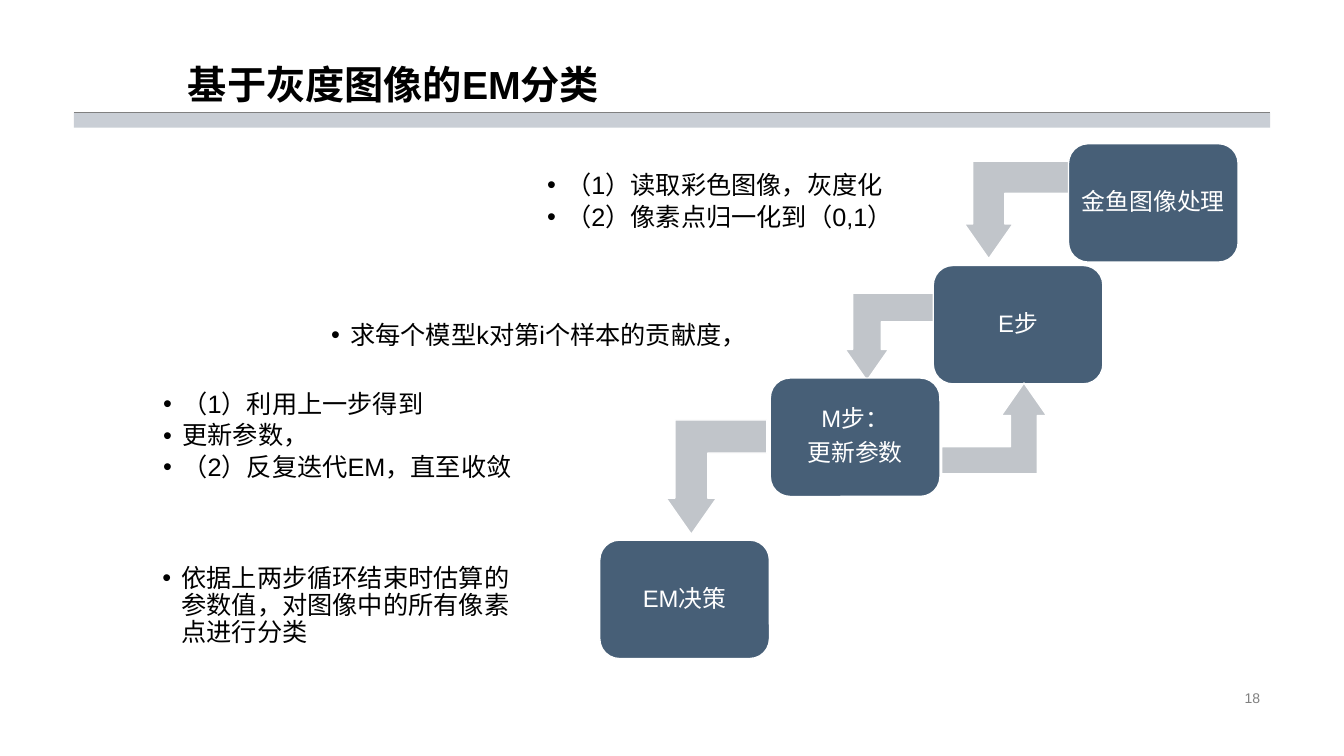
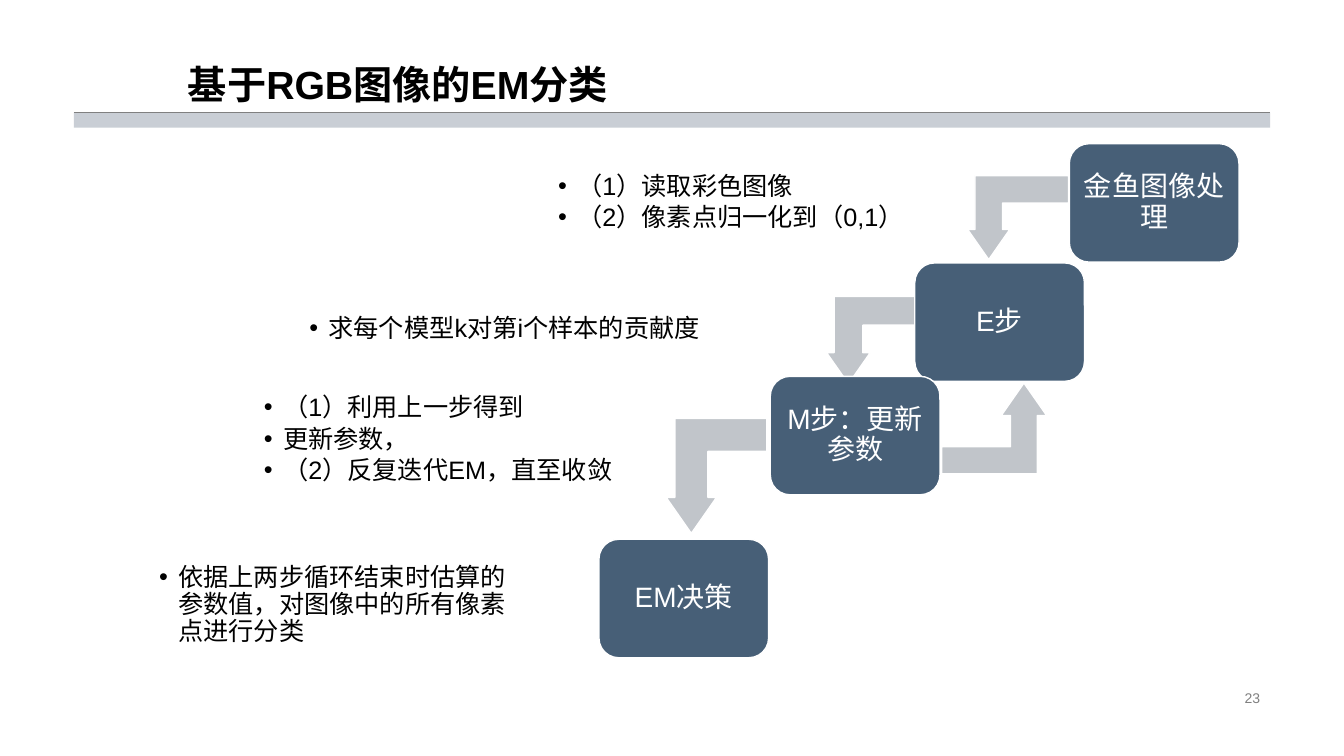
from dataclasses import dataclass

from lxml.etree import SubElement
from pptx import Presentation
from pptx.dml.color import RGBColor
from pptx.enum.shapes import MSO_CONNECTOR, MSO_SHAPE
from pptx.enum.text import MSO_ANCHOR, PP_ALIGN
from pptx.oxml.ns import qn
from pptx.util import Inches, Pt


@dataclass(frozen=True)
class Theme:
    face: str = "Arial"
    ink: str = "000000"
    paper: str = "FFFFFF"
    band: str = "C9CED5"
    rule: str = "808080"
    arrow: str = "C1C5CA"
    step: str = "475F77"
    title: int = 28
    note: int = 18
    page: int = 10


theme = Theme()
deck = Presentation()
deck.slide_width, deck.slide_height = Inches(13.33), Inches(7.5)

# Grid of 80 columns by 45 rows
COL, ROW = deck.slide_width / 80, deck.slide_height / 45
LEFT, TOP, WIDE = 4.4, 6.7, 71.2
STEP = (10.1, 7.05)
BEND = (0.328, 0.25, 0.358)
BACK = (0.297, 0.25, 0.358)


def grid(x, y, w, h):
    return [int(v) for v in (x * COL, y * ROW, w * COL, h * ROW)]


def write(shape, lines, size, ink, align=PP_ALIGN.LEFT, anchor=MSO_ANCHOR.MIDDLE,
          pad=None, after=0, bold=False, bullet=False):
    frame = shape.text_frame
    frame.word_wrap = True
    frame.vertical_anchor = anchor
    if pad is not None:
        frame.margin_left = frame.margin_right = pad
        frame.margin_top = frame.margin_bottom = pad
    frame.text = "\n".join(lines)
    for para in frame.paragraphs:
        para.alignment = align
        para.line_spacing = 0.9
        para.space_after = Pt(after)
        if bullet:
            props = para._p.get_or_add_pPr()
            props.set("marL", str(Inches(0.19)))
            props.set("indent", str(Inches(-0.19)))
            SubElement(props, qn("a:buFont"), typeface=theme.face)
            SubElement(props, qn("a:buChar"), char="•")
        font = para.font
        font.name, font.size, font.bold = theme.face, Pt(size), bold
        font.color.rgb = RGBColor.from_string(ink)


# Content: each step has its corner, label, note place, note and arrow onward
update = ["（1）利用上一步得到", "更新参数，", "（2）反复迭代EM，直至收敛"]
decide = ["依据上两步循环结束时估算的参数值，对图像中的所有像素点进行分类"]
pages = [
    ("基于灰度图像的EM分类", "18", 17, 4, [
        ((63.6, 8.55), ["金鱼图像处理"], (32.15, 9.2, 30.05, 5.7),
         ["（1）读取彩色图像，灰度化", "（2）像素点归一化到（0,1）"], (57.4, 9.6, 6.3, 5.8)),
        ((55.55, 15.8), ["E步"], (19.3, 17.15, 30.3, 5.7),
         ["求每个模型k对第i个样本的贡献度，"], (50.3, 17.45, 12.9, 5.2)),
        ((45.85, 22.5), ["M步：", "更新参数"], (9.3, 23.15, 31.45, 5.7),
         update, (39.65, 25, 6, 6.8)),
        ((35.7, 32.15), ["EM决策"], (9.25, 32.45, 22.4, 7.25), decide, None),
    ]),
    ("基于RGB图像的EM分类", "23", 20, 6, [
        ((63.65, 8.55), ["金鱼图像处理"], (32.8, 9.2, 30.25, 5.75),
         ["（1）读取彩色图像", "（2）像素点归一化到（0,1）"], (57.6, 10.45, 6, 5)),
        ((54.45, 15.65), ["E步"], (18, 16.75, 28.2, 5.7),
         ["求每个模型k对第i个样本的贡献度"], (49.2, 17.65, 12.95, 5.2)),
        ((45.85, 22.4), ["M步：更新参数"], (15.3, 23.35, 31.6, 5.7),
         update, (39.65, 24.9, 6, 6.85)),
        ((35.65, 32.1), ["EM决策"], (9.05, 32.4, 22.5, 7.25), decide, None),
    ]),
]

for title, page, size, pad, steps in pages:
    slide = deck.slides.add_slide(deck.slide_layouts[6])
    shapes = slide.shapes

    # Band and rule under the title
    band = shapes.add_shape(MSO_SHAPE.RECTANGLE, *grid(LEFT, TOP, WIDE, 0.9))
    band.shadow.inherit = False
    band.fill.solid()
    band.fill.fore_color.rgb = RGBColor.from_string(theme.band)
    band.line.fill.background()
    x, y, w, _ = grid(LEFT, TOP, WIDE, 0)
    rule = shapes.add_connector(MSO_CONNECTOR.STRAIGHT, x, y, x + w, y)
    rule.line.color.rgb = RGBColor.from_string(theme.rule)
    rule.line.width = Pt(0.25)
    SubElement(rule._element.spPr, qn("a:effectLst"))

    # Title and page number
    write(shapes.add_textbox(*grid(10.6, 0, 69.4, TOP)), [title], theme.title,
          theme.ink, anchor=MSO_ANCHOR.BOTTOM, bold=True)
    write(shapes.add_textbox(*grid(56.5, 40.9, 19.1, 1.4)), [page], theme.page,
          theme.rule, align=PP_ALIGN.RIGHT)

    # Staircase of steps, then the arrow back from M to E
    parts = []
    for spot, label, place, note, bend in steps:
        if bend:
            parts.append((MSO_SHAPE.BENT_UP_ARROW, bend, BEND, 180, theme.arrow, None, None))
        parts.append((MSO_SHAPE.ROUNDED_RECTANGLE, spot + STEP, (0.167,), 0,
                      theme.step, label, (place, note)))
    parts.append((MSO_SHAPE.BENT_UP_ARROW, (56.05, 22.8, 6.25, 5.4), BACK, 0,
                  theme.arrow, None, None))

    for kind, area, bends, turn, fill, label, note in parts:
        shape = shapes.add_shape(kind, *grid(*area))
        shape.shadow.inherit = False
        shape.rotation = turn
        for i, bend in enumerate(bends):
            shape.adjustments[i] = bend
        shape.fill.solid()
        shape.fill.fore_color.rgb = RGBColor.from_string(fill)
        shape.line.color.rgb = RGBColor.from_string(theme.paper)
        shape.line.width = Pt(1)
        if label:
            write(shape, label, size, theme.paper, align=PP_ALIGN.CENTER,
                  pad=Pt(pad), after=6)
        if note:
            place, lines = note
            write(shapes.add_textbox(*grid(*place)), lines, theme.note, theme.ink,
                  pad=Pt(5), after=3, bullet=True)

deck.save("out.pptx")
